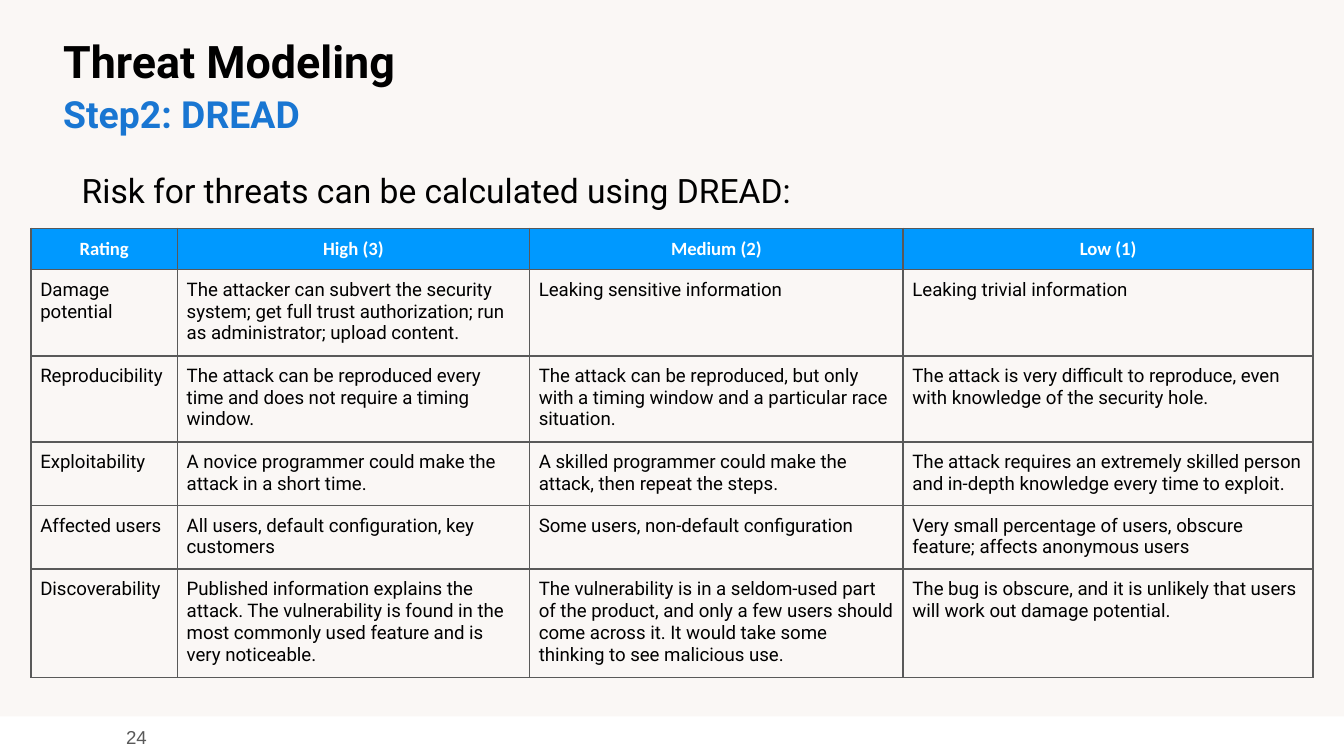
import pptx
import pptx.dml.color
import pptx.enum.shapes
import pptx.enum.text
import pptx.oxml
import pptx.oxml.ns
import pptx.util
from pptx.util import Inches

ALIGN = pptx.enum.text.PP_ALIGN
ANCHOR = pptx.enum.text.MSO_ANCHOR

# Content
TITLE = "Threat Modeling"
SUBTITLE = "Step2: DREAD"
INTRO = "Risk for threats can be calculated using DREAD:"
PAGE_NUMBER = "24"
RATINGS = [
    ("Rating", "High (3)", "Medium (2)", "Low (1)"),
    ("Damage potential",
     "The attacker can subvert the security system; get full trust authorization; "
     "run as administrator; upload content.",
     "Leaking sensitive information",
     "Leaking trivial information"),
    ("Reproducibility",
     "The attack can be reproduced every time and does not require a timing window.",
     "The attack can be reproduced, but only with a timing window and a particular "
     "race situation.",
     "The attack is very difficult to reproduce, even with knowledge of the security hole."),
    ("Exploitability",
     "A novice programmer could make the attack in a short time.",
     "A skilled programmer could make the attack, then repeat the steps.",
     "The attack requires an extremely skilled person and in-depth knowledge every "
     "time to exploit."),
    ("Affected users",
     "All users, default configuration, key customers",
     "Some users, non-default configuration",
     "Very small percentage of users, obscure feature; affects anonymous users"),
    ("Discoverability",
     "Published information explains the attack. The vulnerability is found in the "
     "most commonly used feature and is very noticeable.",
     "The vulnerability is in a seldom-used part of the product, and only a few users "
     "should come across it. It would take some thinking to see malicious use.",
     "The bug is obscure, and it is unlikely that users will work out damage potential."),
]
COLUMN_WIDTHS = [1.09, 2.62, 2.78, 3.05]
LINES_PER_ROW = [1, 3, 3, 2, 2, 4]

# Widescreen slide
SLIDE_WIDTH = 10
SLIDE_HEIGHT = SLIDE_WIDTH * 9 / 16
FOOTER_TOP = 5.33

THEME = {
    "background": "FAF7F5", "footer": "FFFFFF", "header": "0099FF",
    "border": "595959", "text": "000000", "accent": "1976D2",
    "light": "FFFFFF", "muted": "595959",
    "body_font": "Roboto", "header_font": "Calibri", "number_font": "Arial",
    "title": 24, "subtitle": 20, "intro": 18, "small": 10,
}


def color(name):
    return pptx.dml.color.RGBColor.from_string(THEME[name])


def write(frame, text, size="small", font="body_font", tint="text", bold=False,
          align=ALIGN.LEFT, spacing=None, new_line=False):
    """Add a run to the first paragraph, after a line break if asked."""
    paragraph = frame.paragraphs[0]
    if new_line:
        paragraph.add_line_break()
    paragraph.alignment = align
    if spacing:
        paragraph.line_spacing = spacing
    run = paragraph.add_run()
    run.text = text
    run.font.size = pptx.util.Pt(THEME[size])
    run.font.name = THEME[font]
    run.font.bold = bold
    run.font.color.rgb = color(tint)


def text_frame(slide, left, top, width, height, inset, anchor=ANCHOR.TOP):
    frame = slide.shapes.add_textbox(
        Inches(left), Inches(top), Inches(width), Inches(height)).text_frame
    frame.word_wrap = True
    frame.vertical_anchor = anchor
    frame.margin_left = frame.margin_right = Inches(inset)
    frame.margin_top = frame.margin_bottom = Inches(inset)
    return frame


def add_borders(cell, width=1):
    properties = cell._tc.get_or_add_tcPr()
    for position, side in enumerate(("lnL", "lnR", "lnT", "lnB")):
        properties.insert(position, pptx.oxml.parse_xml(
            f'<a:{side} {pptx.oxml.ns.nsdecls("a")} w="{pptx.util.Pt(width)}">'
            f'<a:solidFill><a:srgbClr val="{THEME["border"]}"/></a:solidFill>'
            f'</a:{side}>'))


def add_ratings(slide, left=0.23, top=1.7, inset=0.07):
    # Just under the height of the text, so that each row fits its lines
    heights = [0.13 + 0.16 * lines for lines in LINES_PER_ROW]
    table = slide.shapes.add_table(
        len(RATINGS), len(COLUMN_WIDTHS), Inches(left), Inches(top),
        Inches(sum(COLUMN_WIDTHS)), Inches(sum(heights))).table
    for column, width in zip(table.columns, COLUMN_WIDTHS):
        column.width = Inches(width)
    for row, height in zip(table.rows, heights):
        row.height = Inches(height)

    header_format = dict(font="header_font", tint="light", bold=True, align=ALIGN.CENTER)
    for r, ratings in enumerate(RATINGS):
        for c, rating in enumerate(ratings):
            cell = table.cell(r, c)
            cell.margin_left = cell.margin_right = Inches(inset)
            cell.margin_top = cell.margin_bottom = Inches(inset)
            if r == 0:
                cell.fill.solid()
                cell.fill.fore_color.rgb = color("header")
            else:
                cell.fill.background()
            add_borders(cell)
            write(cell.text_frame, rating, **(header_format if r == 0 else {}))


def main():
    deck = pptx.Presentation()
    deck.slide_width, deck.slide_height = Inches(SLIDE_WIDTH), Inches(SLIDE_HEIGHT)
    slide = deck.slides.add_slide(deck.slide_layouts[6])
    slide.background.fill.solid()
    slide.background.fill.fore_color.rgb = color("background")

    # Footer band and page number
    footer = slide.shapes.add_shape(
        pptx.enum.shapes.MSO_SHAPE.RECTANGLE, Inches(0), Inches(FOOTER_TOP),
        Inches(SLIDE_WIDTH), Inches(SLIDE_HEIGHT - FOOTER_TOP))
    footer.shadow.inherit = False
    footer.fill.solid()
    footer.fill.fore_color.rgb = color("footer")
    footer.line.fill.background()
    number = text_frame(slide, 0.59, 5.27, 0.6, 0.43, 0.1, ANCHOR.MIDDLE)
    write(number, PAGE_NUMBER, font="number_font", tint="muted", align=ALIGN.RIGHT)

    # Rating table
    add_ratings(slide)

    # Title and introduction
    heading = text_frame(slide, 0.47, 0.22, 5.22, 0.74, 0)
    write(heading, TITLE, size="title", bold=True, spacing=1.08)
    write(heading, SUBTITLE, size="subtitle", tint="accent", bold=True,
          spacing=1.08, new_line=True)
    intro = text_frame(slide, 0.51, 1.12, 6.34, 0.43, 0.1)
    write(intro, INTRO, size="intro", spacing=1.15)

    deck.save("out.pptx")


if __name__ == "__main__":
    main()
